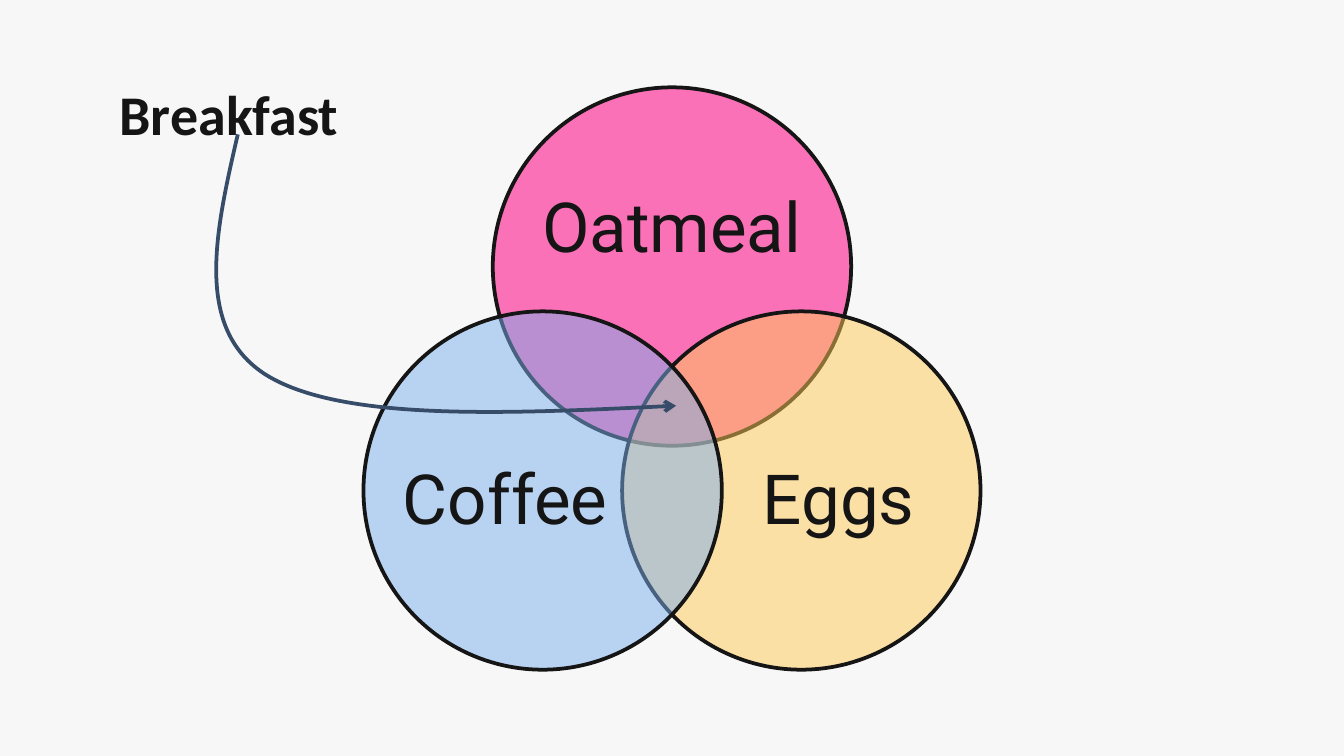
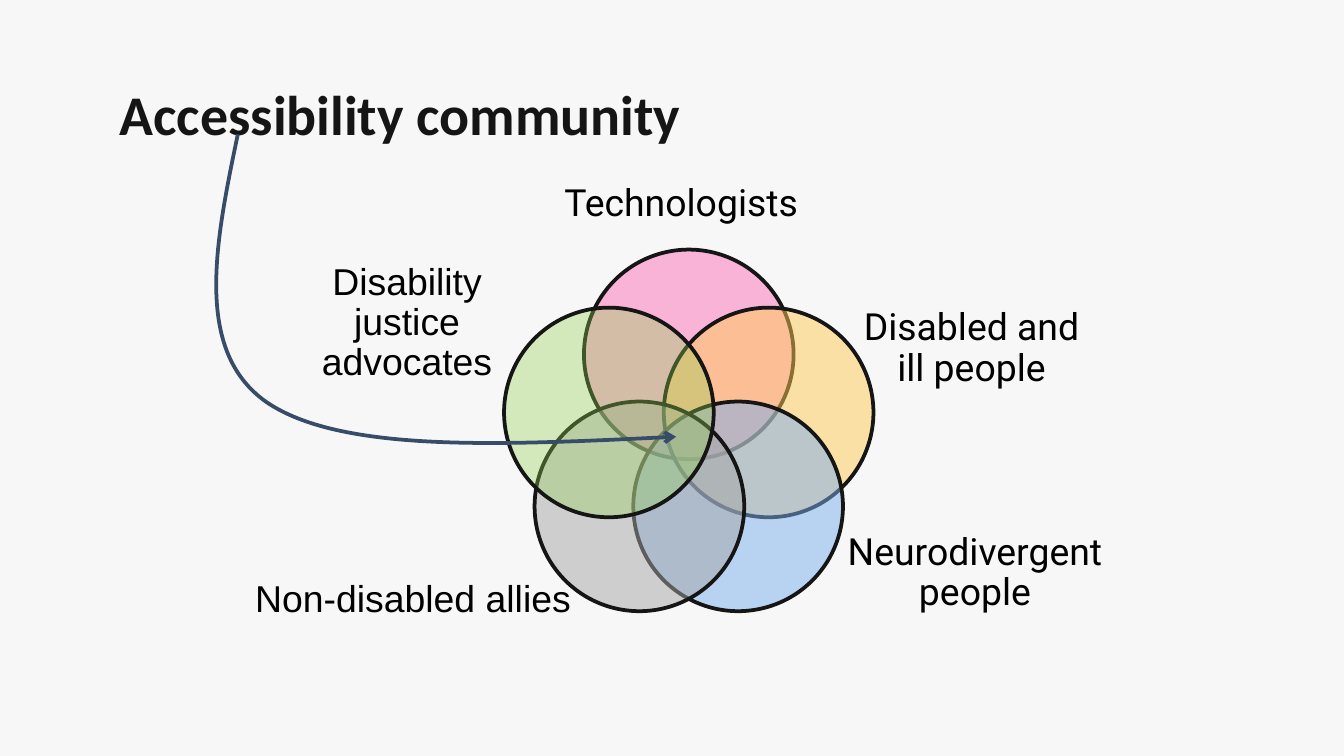
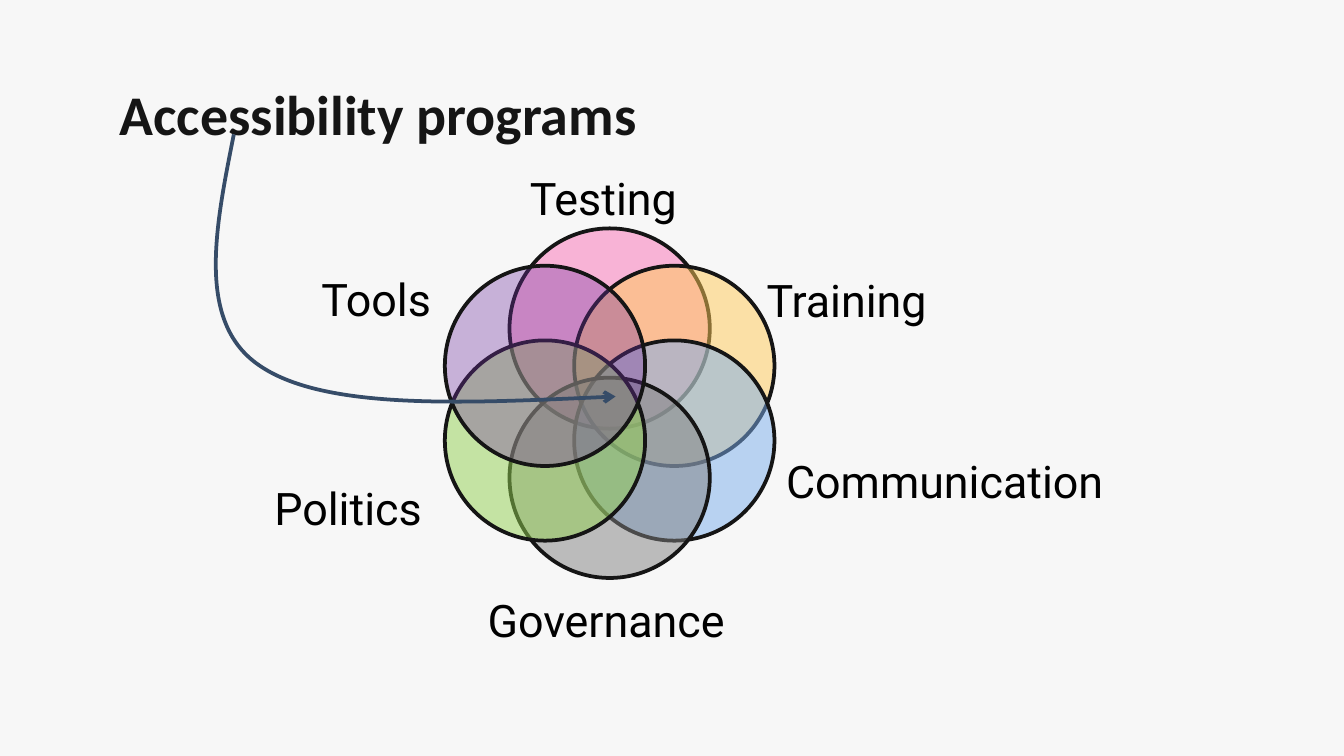
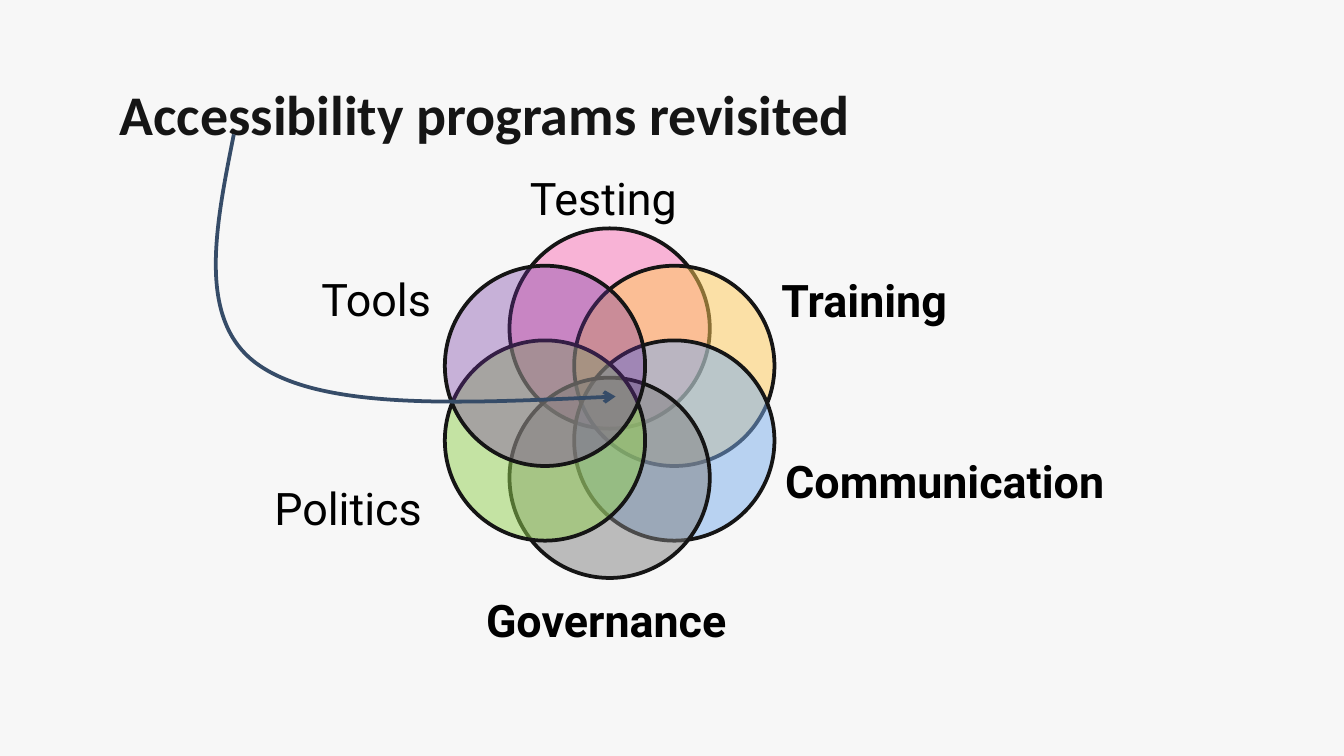
import math
import lxml.etree
import pptx
import pptx.dml.color
import pptx.enum.shapes
import pptx.enum.text
import pptx.oxml.ns
import pptx.util

Pt = pptx.util.Pt
qn = pptx.oxml.ns.qn
RGB = pptx.dml.color.RGBColor.from_string
ANCHOR = pptx.enum.text.MSO_ANCHOR
ALIGN = pptx.enum.text.PP_ALIGN

COLORS = {
    "background": "F7F7F7", "ink": "151515", "black": "000000", "arrow": "364C68",
    "pink": "FA71B7", "yellow": "FFCA56", "blue": "7BAEED", "silver": "A6A6A6",
    "gray": "808080", "green": "92D050", "purple": "7030A0",
}


def add_span(para, text, font_name, size, color, bold):
    span = para.add_run()
    span.text = text
    span.font.name = font_name
    span.font.size = Pt(size)
    span.font.bold = bold
    span.font.color.rgb = RGB(COLORS[color])


def set_frame(frame, margin, anchor):
    frame.word_wrap = True
    frame.auto_size = pptx.enum.text.MSO_AUTO_SIZE.NONE
    frame.vertical_anchor = anchor
    frame.margin_left = frame.margin_right = Pt(margin)
    frame.margin_top = frame.margin_bottom = Pt(margin)


breakfast = {
    "title": "Breakfast", "center": (360, 222.8), "orbit": 80, "diameter": 192,
    "size": 37, "ink": "ink",
    "sets": [
        ("Oatmeal", "pink", 100, "Roboto", (289.4, 79.9, 141.1, 86.4)),
        ("Eggs", "yellow", 50, "Roboto", (391.7, 216, 115.2, 105.8)),
        ("Coffee", "blue", 50, "Roboto", (213.1, 216, 115.2, 105.8)),
    ],
    "curve": [(127.4, 72), (115.2, 124.6), (103.7, 176.4), (142.6, 200.9),
              (182.2, 225.4), (272.2, 221.8), (362.2, 217.4)],
    "curve_bottom": 220.3,
}
community = {
    "title": "Accessibility community", "center": (369, 234.9), "orbit": 45, "diameter": 112.3,
    "size": 20, "ink": "black",
    "sets": [
        ("Technologists", "pink", 50, "Roboto", (300.2, 72, 129.6, 74.9)),
        ("Disabled and ill people", "yellow", 50, "Roboto", (462.2, 146.2, 116.6, 81.4)),
        ("Neurodivergent people", "blue", 50, "Roboto", (428.4, 266.4, 187.9, 81.4)),
        ("Non-disabled allies", "silver", 50, "Arial", (109.4, 280.8, 223.9, 81.4)),
        ("Disability justice advocates", "green", 35, "Arial", (159.8, 132.5, 116.6, 81.4)),
    ],
    "curve": [(127.4, 72), (115.2, 130.3), (103.7, 187.9), (142.6, 215.3),
              (182.2, 242.6), (272.2, 238.3), (362.2, 234)],
    "curve_bottom": 236.9,
}
programs = {
    "title": "Accessibility programs", "center": (326.6, 216), "orbit": 40, "diameter": 107.3,
    "size": 24, "ink": "black",
    "sets": [
        ("Testing", "pink", 50, "Roboto", (256.3, 71.3, 133.9, 72.7)),
        ("Training", "yellow", 50, "Roboto", (390.2, 122.4, 126.7, 79.9)),
        ("Communication", "blue", 50, "Roboto", (375.8, 214.6, 260.6, 89.3)),
        ("Governance", "gray", 50, "Roboto", (222.5, 297.4, 204.5, 72.7)),
        ("Politics", "green", 50, "Roboto", (123.1, 229, 126.7, 89.3)),
        ("Tools", "purple", 35, "Roboto", (138.2, 117.4, 126.7, 89.3)),
    ],
    "curve": [(125.3, 72), (115.2, 122.4), (105.1, 172.8), (139, 195.8),
              (173.5, 219.6), (251.3, 216), (329.8, 212.4)],
    "curve_bottom": 214.6,
}
revisited = {
    **programs,
    "title": "Accessibility programs revisited",
    "bold": {"Training", "Communication", "Governance"},
    "moved": {"Training": (360, 122.4, 205.9, 79.9)},
}
CURVE_LEFT = 115.9

deck = pptx.Presentation()
deck.slide_width = Pt(720)
deck.slide_height = Pt(405)
backdrop = deck.slide_master.background.fill
backdrop.solid()
backdrop.fore_color.rgb = RGB(COLORS["background"])

for venn in (breakfast, community, programs, revisited):
    page = deck.slides.add_slide(deck.slide_layouts[5])

    title = page.shapes.title
    title.left, title.top, title.width, title.height = Pt(56.9), Pt(35.3), Pt(607), Pt(45.4)
    set_frame(title.text_frame, 7.2, ANCHOR.TOP)
    para = title.text_frame.paragraphs[0]
    para.alignment = ALIGN.LEFT
    add_span(para, venn["title"], "Calibri", 30, "ink", True)

    center_x, center_y = venn["center"]
    diameter = venn["diameter"]
    for index, (label, color, opacity, font_name, place) in enumerate(venn["sets"]):
        angle = math.tau * index / len(venn["sets"])
        left = center_x + venn["orbit"] * math.sin(angle) - diameter / 2
        top = center_y - venn["orbit"] * math.cos(angle) - diameter / 2
        circle = page.shapes.add_shape(
            pptx.enum.shapes.MSO_SHAPE.OVAL, Pt(left), Pt(top), Pt(diameter), Pt(diameter))
        circle.shadow.inherit = False
        circle.fill.solid()
        circle.fill.fore_color.rgb = RGB(COLORS[color])
        circle.line.color.rgb = RGB(COLORS["ink"])
        circle.line.width = Pt(2)
        if opacity < 100:
            tint = circle._element.spPr.find(qn("a:solidFill")).find(qn("a:srgbClr"))
            lxml.etree.SubElement(tint, qn("a:alpha"), val=str(opacity * 1000))

        place = venn.get("moved", {}).get(label, place)
        box = page.shapes.add_textbox(*[Pt(length) for length in place])
        set_frame(box.text_frame, 0, ANCHOR.MIDDLE)
        para = box.text_frame.paragraphs[0]
        para.alignment = ALIGN.CENTER
        para.line_spacing = 0.9
        add_span(para, label, font_name, venn["size"], venn["ink"], label in venn.get("bold", ()))

    curve = venn["curve"]
    start, end = curve[0], curve[-1]
    corners = [(CURVE_LEFT, start[1]), (CURVE_LEFT, venn["curve_bottom"]), end]
    builder = page.shapes.build_freeform(Pt(start[0]), Pt(start[1]))
    builder.add_line_segments([(Pt(x), Pt(y)) for x, y in corners], close=False)
    arrow = builder.convert_to_shape()
    arrow.shadow.inherit = False
    arrow.fill.background()
    arrow.line.color.rgb = RGB(COLORS["arrow"])
    arrow.line.width = Pt(2)
    lxml.etree.SubElement(arrow.line._get_or_add_ln(), qn("a:tailEnd"), type="arrow")
    outline = arrow._element.xpath(".//a:path")[0]
    for segment in outline.findall(qn("a:lnTo")):
        outline.remove(segment)
    for first in (1, 4):
        bend = lxml.etree.SubElement(outline, qn("a:cubicBezTo"))
        for x, y in curve[first:first + 3]:
            lxml.etree.SubElement(
                bend, qn("a:pt"), x=str(Pt(x - CURVE_LEFT)), y=str(Pt(y - start[1])))

deck.save("out.pptx")
